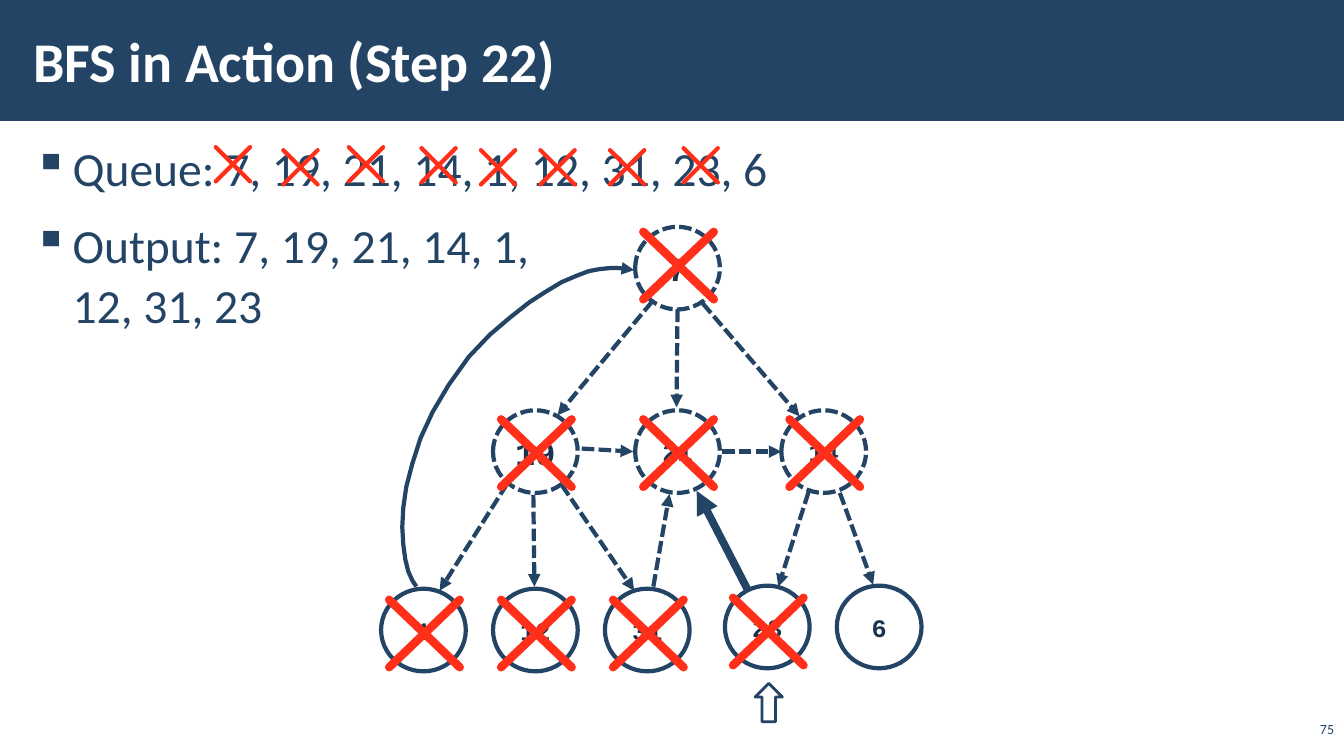
from dataclasses import dataclass

from lxml.etree import SubElement as Sub
from pptx import Presentation
from pptx.dml.color import RGBColor as Rgb
from pptx.enum.dml import MSO_LINE as Dash
from pptx.enum.shapes import MSO_CONNECTOR as Link, MSO_SHAPE as Shape
from pptx.enum.text import MSO_ANCHOR as Anchor, PP_ALIGN as Align
from pptx.oxml.ns import qn
from pptx.util import Pt

SCALE = 9144


@dataclass(frozen=True)
class Theme:
    """Colours, fonts and sizes of the slide."""
    navy: str = "234465"
    ink: str = "1A334C"
    red: str = "FF2F19"
    white: str = "FFFFFF"
    font: str = "Calibri"
    code: str = "Courier New"
    title: int = 40
    body: int = 34
    root: int = 24
    node: int = 18
    number: int = 10
    thin: float = 2
    line: float = 3
    bold: float = 5.5
    cross: float = 6


THEME = Theme()
NODE_SIZE = (84, 82)
NODES = {
    "7": dict(at=(252, 0), cross=5, dashed=True, size=THEME.root),
    "19": dict(at=(111, 182), cross=9, dashed=True, size=THEME.root),
    "21": dict(at=(252, 182), cross=9, dashed=True),
    "14": dict(at=(397, 182), cross=9, dashed=True),
    "1": dict(at=(0, 359), cross=11),
    "12": dict(at=(111, 359), cross=11),
    "31": dict(at=(222, 359), cross=11),
    "23": dict(at=(341, 356), cross=12),
    "6": dict(at=(452, 356)),
}
VISITED_EDGES = [
    ((269, 74), (175, 187)), ((294, 82), (293, 179)), ((319, 76), (415, 188)),
    ((125, 255), (58, 361)), ((151, 266), (152, 357)), ((179, 256), (251, 361)),
    ((424, 263), (394, 357)), ((455, 264), (488, 355)),
    ((199, 220), (250, 223)), ((338, 223), (397, 223)), ((270, 357), (286, 265)),
]
CURRENT_EDGE = ((363, 359), (313, 262))
BACK_EDGE = [
    ((35, 357), (20, 340), (-2, 242), (87, 129)),
    ((87, 129), (176, 35), (226, 37), (251, 43)),
]
QUEUE_CROSSES = [(193, 15), (260, 18), (325, 15), (397, 16),
                 (456, 18), (515, 18), (584, 18), (657, 16)]


def px(*lengths):
    """Turn px lengths into EMU."""
    return [round(length * SCALE) for length in lengths]


def paint(shape, color, alpha=100):
    """Give a shape a plain fill without a shadow."""
    shape.shadow.inherit = False
    shape.fill.solid()
    shape.fill.fore_color.rgb = Rgb.from_string(color)
    if alpha < 100:
        tint = shape.fill._xPr.find(qn("a:solidFill"))[0]
        Sub(tint, qn("a:alpha"), val=str(alpha * 1000))


def stroke(shape, color, width, dashed=False, arrow=False, rounded=False):
    """Format the line of a shape or connector."""
    shape.line.color.rgb = Rgb.from_string(color)
    shape.line.width = Pt(width)
    if dashed:
        shape.line.dash_style = Dash.SQUARE_DOT
    outline = shape.line._get_or_add_ln()
    if rounded:
        outline.set("cap", "rnd")
    if arrow:
        Sub(outline, qn("a:tailEnd"), type="triangle")


def write(frame, lines, size, color, font=THEME.font, bold=False, align=Align.LEFT,
          anchor=Anchor.TOP, insets=(10, 5), wrap=True, bullet=None, gap=0, spacing=None):
    """Fill a text frame with formatted paragraphs."""
    frame.word_wrap = wrap
    frame.vertical_anchor = anchor
    frame.margin_left = frame.margin_right = px(insets[0])[0]
    frame.margin_top = frame.margin_bottom = px(insets[1])[0]
    for index, line in enumerate(lines):
        para = frame.add_paragraph() if index else frame.paragraphs[0]
        para.text = line
        para.alignment = align
        para.line_spacing = spacing
        para.space_before = Pt(gap if index else 0)
        para.space_after = Pt(gap)
        if bullet:
            props = para._p.get_or_add_pPr()
            props.set("marL", str(px(39)[0]))
            props.set("indent", str(px(-39)[0]))
            Sub(props, qn("a:buChar"), char=bullet)
        for span in para.runs:
            span.font.name = font
            span.font.size = Pt(size)
            span.font.bold = bold
            span.font.color.rgb = Rgb.from_string(color)


def add_line(shapes, start, end, color, width, **style):
    """Draw a straight connector without a shadow."""
    line = shapes.add_connector(Link.STRAIGHT, *px(*start, *end))
    stroke(line, color, width, **style)
    Sub(line._element.spPr, qn("a:effectLst"))


def add_cross(page, left, top, width, height, weight):
    """Strike out a box with two grouped diagonals."""
    group = page.shapes.add_group_shape()
    right, bottom = left + width, top + height
    for start, end in (((left, top), (right, bottom)), ((right, top), (left, bottom))):
        add_line(group.shapes, start, end, THEME.red, weight, rounded=True)


def add_header(page, left, top, width, height):
    """Draw the title band."""
    band = page.shapes.add_shape(Shape.RECTANGLE, *px(left, top, width, height))
    paint(band, THEME.navy)
    band.line.fill.background()
    box = page.shapes.add_textbox(*px(left + 21, top + 11, 1063, 97))
    write(box.text_frame, ["BFS in Action (Step 22)"], THEME.title, THEME.white,
          bold=True, anchor=Anchor.MIDDLE, insets=(12, 4))


def add_progress(page, left, top, width, height):
    """Write the queue and output, striking out what has left the queue."""
    box = page.shapes.add_textbox(*px(left, top, width, height))
    lines = ["Queue: 7, 19, 21, 14, 1, 12, 31, 23, 6",
             "Output: 7, 19, 21, 14, 1,\v12, 31, 23"]
    write(box.text_frame, lines, THEME.body, THEME.navy, insets=(12, 4),
          bullet="▪", gap=6, spacing=1.05)
    for x, y in QUEUE_CROSSES:
        add_cross(page, left + x, top + y, 34, 34, THEME.line)


def add_node(page, left, top, label, dashed=False, size=THEME.node):
    """Draw one labelled graph node."""
    node = page.shapes.add_shape(Shape.OVAL, *px(left, top, *NODE_SIZE))
    paint(node, THEME.white, alpha=70)
    stroke(node, THEME.navy, THEME.line, dashed=dashed)
    write(node.text_frame, [label], size, THEME.ink, font=THEME.code, bold=True,
          align=Align.CENTER, anchor=Anchor.MIDDLE, wrap=False)


def bezier(points, step):
    """Return the point of a cubic curve at a step from 0 to 1."""
    rest = 1 - step
    weights = (rest ** 3, 3 * rest ** 2 * step, 3 * rest * step ** 2, step ** 3)
    return tuple(sum(w * p[axis] for w, p in zip(weights, points)) for axis in (0, 1))


def add_back_edge(page, left, top):
    """Draw the curved arrow from a leaf back to the root."""
    track = [bezier(part, step / 12) for part in BACK_EDGE for step in range(13)]
    track = [(left + x, top + y) for x, y in track]
    builder = page.shapes.build_freeform(*track[0], scale=SCALE)
    builder.add_line_segments(track[1:], close=False)
    curve = builder.convert_to_shape()
    curve.shadow.inherit = False
    curve.fill.background()
    stroke(curve, THEME.navy, THEME.line, arrow=True)


def add_graph(page, left, top):
    """Draw the graph, its visited marks and the pointer to the current node."""
    for label, node in NODES.items():
        x, y = node["at"]
        add_node(page, left + x, top + y, label, node.get("dashed", False),
                 node.get("size", THEME.node))
    edges = [(edge, THEME.line, True) for edge in VISITED_EDGES]
    for edge, weight, dashed in edges + [(CURRENT_EDGE, THEME.bold, False)]:
        start, end = [(left + x, top + y) for x, y in edge]
        add_line(page.shapes, start, end, THEME.navy, weight, dashed=dashed, arrow=True)
    add_back_edge(page, left, top)
    for node in NODES.values():
        if "cross" in node:
            x, y = node["at"]
            add_cross(page, left + x + 8, top + y + node["cross"], 70, 67, THEME.cross)
    x, y = NODES["23"]["at"]
    pointer = page.shapes.add_shape(Shape.UP_ARROW, *px(left + x + 30, top + y + 97, 27, 38))
    paint(pointer, THEME.white, alpha=50)
    stroke(pointer, THEME.navy, THEME.thin)


def add_page_number(page, left, top, width, height):
    """Write the slide number in the corner."""
    box = page.shapes.add_textbox(*px(left, top, width, height))
    write(box.text_frame, ["75"], THEME.number, THEME.navy,
          align=Align.RIGHT, anchor=Anchor.BOTTOM)


def main():
    """Build and save the deck."""
    deck = Presentation()
    deck.slide_width, deck.slide_height = px(1333, 750)
    page = deck.slides.add_slide(deck.slide_layouts[6])
    add_header(page, 0, 0, 1333, 120)
    add_progress(page, 21, 131, 1292, 605)
    add_graph(page, 378, 225)
    add_page_number(page, 1286, 714, 47, 22)
    deck.save("out.pptx")


if __name__ == "__main__":
    main()
